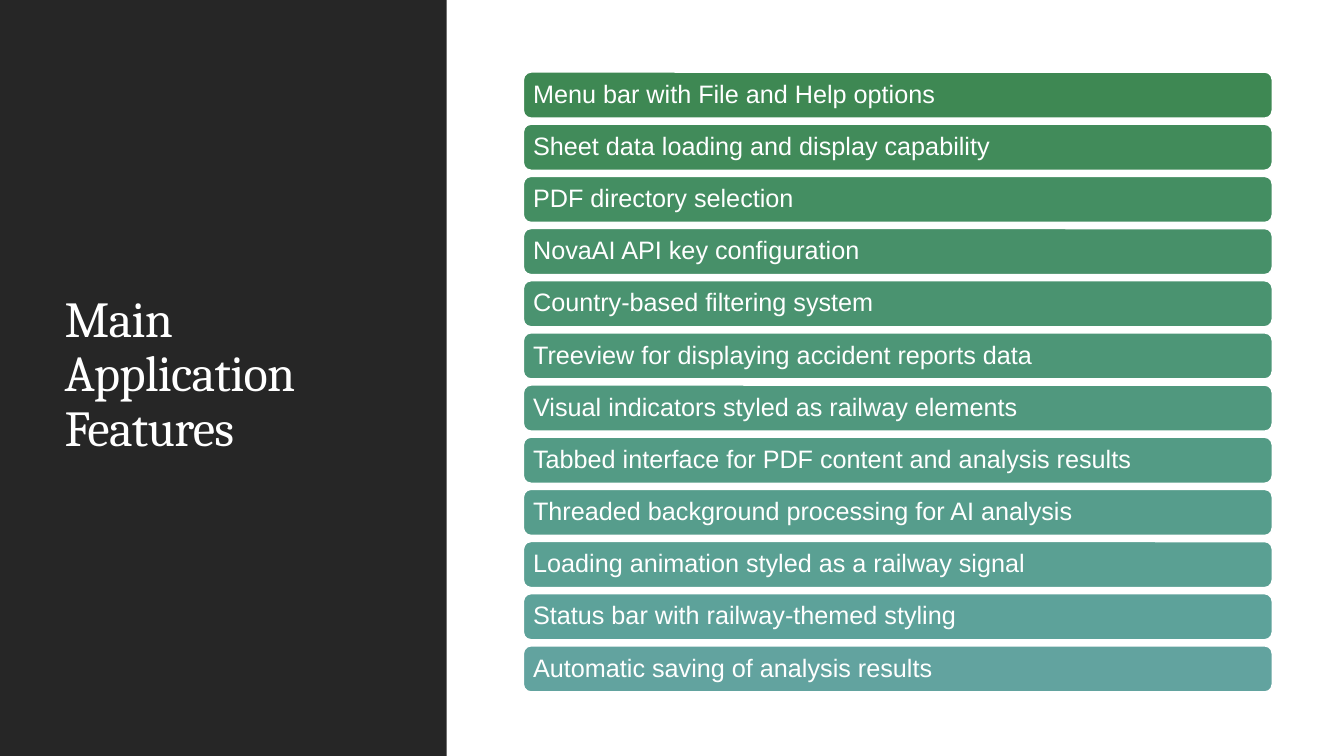
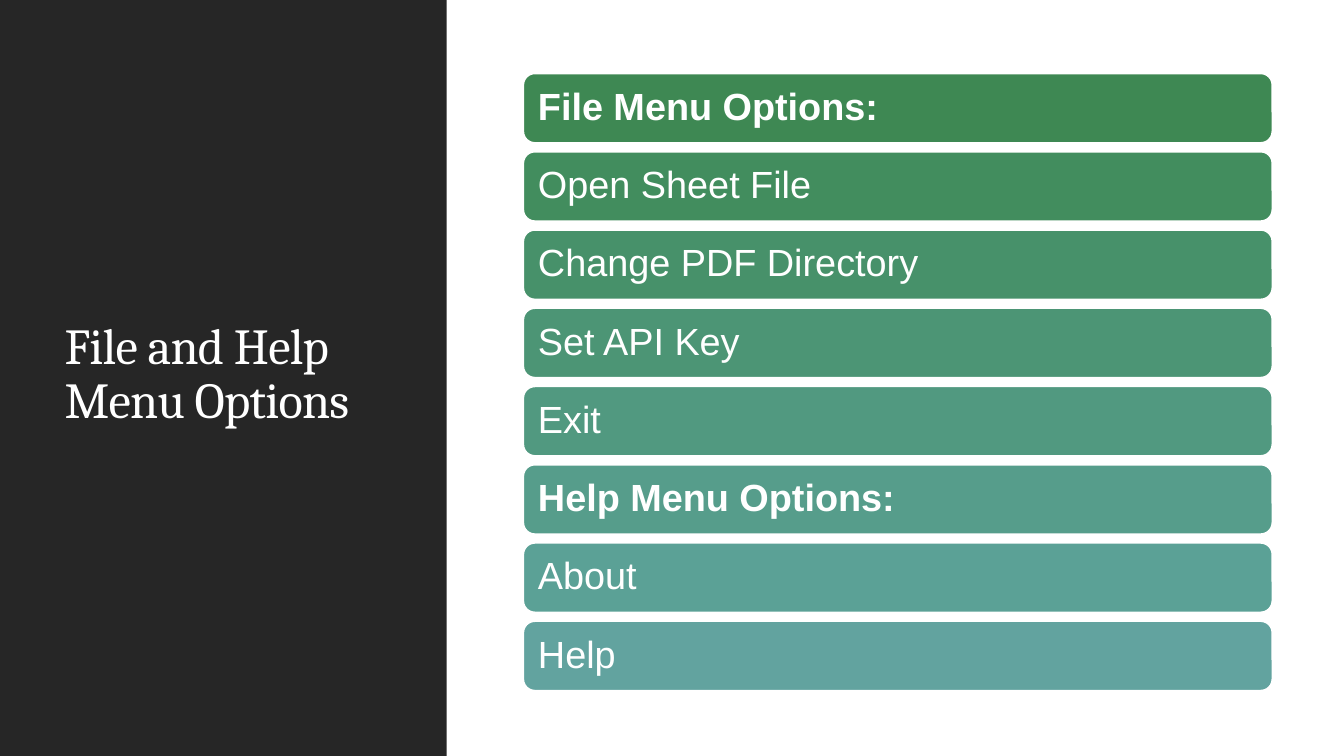
from colorsys import hls_to_rgb, rgb_to_hls
from dataclasses import dataclass

from pptx import Presentation
from pptx.dml.color import RGBColor
from pptx.enum.shapes import MSO_SHAPE as Shape
from pptx.enum.text import MSO_ANCHOR as Anchor, PP_ALIGN as Align
from pptx.oxml import parse_xml
from pptx.oxml.ns import nsdecls, qn
from pptx.util import Inches, Pt


@dataclass(frozen=True)
class Theme:
    white: str = "FFFFFF"
    panel: str = "262626"
    first_bar: str = "3E8853"
    last_bar: str = "62A39F"
    title_font: str = "Cambria"
    body_font: str = "Arial"
    title_size: int = 36
    dense_size: int = 18
    roomy_size: int = 27


THEME = Theme()

SLIDE_W, SLIDE_H = 13.33, 7.5
PANEL_W = 4.43
TITLE_BOX = (0.54, 0.57, 3.37, 6.31)
BAR_LEFT, BAR_W = 5.19, 7.43
STACK_MIDDLE = 3.79
EM_TO_BAR = 1.84      # bar height per em of text
EM_TO_INSET = 0.3     # text inset per em of text
BAR_TO_GAP = 0.125    # gap per bar height

FEATURES = [
    "Menu bar with File and Help options",
    "Sheet data loading and display capability",
    "PDF directory selection",
    "NovaAI API key configuration",
    "Country-based filtering system",
    "Treeview for displaying accident reports data",
    "Visual indicators styled as railway elements",
    "Tabbed interface for PDF content and analysis results",
    "Threaded background processing for AI analysis",
    "Loading animation styled as a railway signal",
    "Status bar with railway-themed styling",
    "Automatic saving of analysis results",
]
MENU_OPTIONS = [
    "File Menu Options:",
    "Open Sheet File",
    "Change PDF Directory",
    "Set API Key",
    "Exit",
    "Help Menu Options:",
    "About",
    "Help",
]


def rgb(hex_color):
    return RGBColor.from_string(hex_color)


def blend(start, end, t):
    """Colour at fraction t between two colours, by hue, lightness and saturation."""
    a, b = (rgb_to_hls(*(v / 255 for v in rgb(c))) for c in (start, end))
    mixed = hls_to_rgb(*(x + (y - x) * t for x, y in zip(a, b)))
    return RGBColor(*(round(v * 255) for v in mixed))


def style_layout(layout):
    """Keep only the title placeholder and give it the shared title style."""
    title, *others = layout.placeholders
    for ph in others:
        layout.shapes.element.remove(ph.element)
    title.left, title.top, title.width, title.height = map(Inches, TITLE_BOX)
    tf = title.text_frame
    tf.word_wrap = True
    tf.vertical_anchor = Anchor.MIDDLE
    body = title.element.txBody
    for old in body.findall(qn("a:lstStyle")):
        body.remove(old)
    body.find(qn("a:bodyPr")).addnext(parse_xml(
        f'<a:lstStyle {nsdecls("a")}><a:lvl1pPr algn="l">'
        '<a:lnSpc><a:spcPct val="90000"/></a:lnSpc>'
        f'<a:defRPr sz="{THEME.title_size * 100}" spc="-50">'
        f'<a:solidFill><a:srgbClr val="{THEME.white}"/></a:solidFill>'
        f'<a:latin typeface="{THEME.title_font}"/>'
        '</a:defRPr></a:lvl1pPr></a:lstStyle>'))


def add_panel(s):
    """Draw the dark side panel behind the title."""
    panel = s.shapes.add_shape(Shape.RECTANGLE, 0, 0, Inches(PANEL_W), Inches(SLIDE_H))
    panel.shadow.inherit = False
    panel.fill.solid()
    panel.fill.fore_color.rgb = rgb(THEME.panel)
    panel.line.fill.background()
    s.shapes.title.element.addprevious(panel.element)


def add_bar(s, text, top, height, size, color):
    bar = s.shapes.add_shape(Shape.ROUNDED_RECTANGLE, Inches(BAR_LEFT), Inches(top),
                             Inches(BAR_W), Inches(height))
    bar.shadow.inherit = False
    bar.fill.solid()
    bar.fill.fore_color.rgb = color
    bar.line.color.rgb = rgb(THEME.white)
    bar.line.width = Pt(1.25)

    tf = bar.text_frame
    tf.text = text
    tf.word_wrap = True
    tf.vertical_anchor = Anchor.MIDDLE
    inset = Pt(size * EM_TO_INSET)
    tf.margin_left = tf.margin_top = tf.margin_right = tf.margin_bottom = inset
    p = tf.paragraphs[0]
    p.alignment = Align.LEFT
    p.line_spacing = 0.9
    font = p.runs[0].font
    font.name, font.size = THEME.body_font, Pt(size)
    font.bold = text.endswith(":")
    font.color.rgb = rgb(THEME.white)


def add_bar_stack(s, items, size):
    """Stack one bar per item around the common middle line."""
    height = size * EM_TO_BAR / 72
    pitch = height * (1 + BAR_TO_GAP)
    last = len(items) - 1
    top = STACK_MIDDLE - (last * pitch + height) / 2
    for i, text in enumerate(items):
        color = blend(THEME.first_bar, THEME.last_bar, i / last)
        add_bar(s, text, top + i * pitch, height, size, color)


def add_list_slide(prs, layout, title, items, size):
    s = prs.slides.add_slide(layout)
    s.shapes.title.text_frame.text = title
    add_panel(s)
    add_bar_stack(s, items, size)


def main():
    prs = Presentation()
    prs.slide_width, prs.slide_height = Inches(SLIDE_W), Inches(SLIDE_H)
    layout = prs.slide_layouts.get_by_name("Title Only")
    style_layout(layout)

    add_list_slide(prs, layout, "Main Application Features", FEATURES, THEME.dense_size)
    add_list_slide(prs, layout, "File and Help Menu Options", MENU_OPTIONS, THEME.roomy_size)
    prs.save("out.pptx")


if __name__ == "__main__":
    main()
